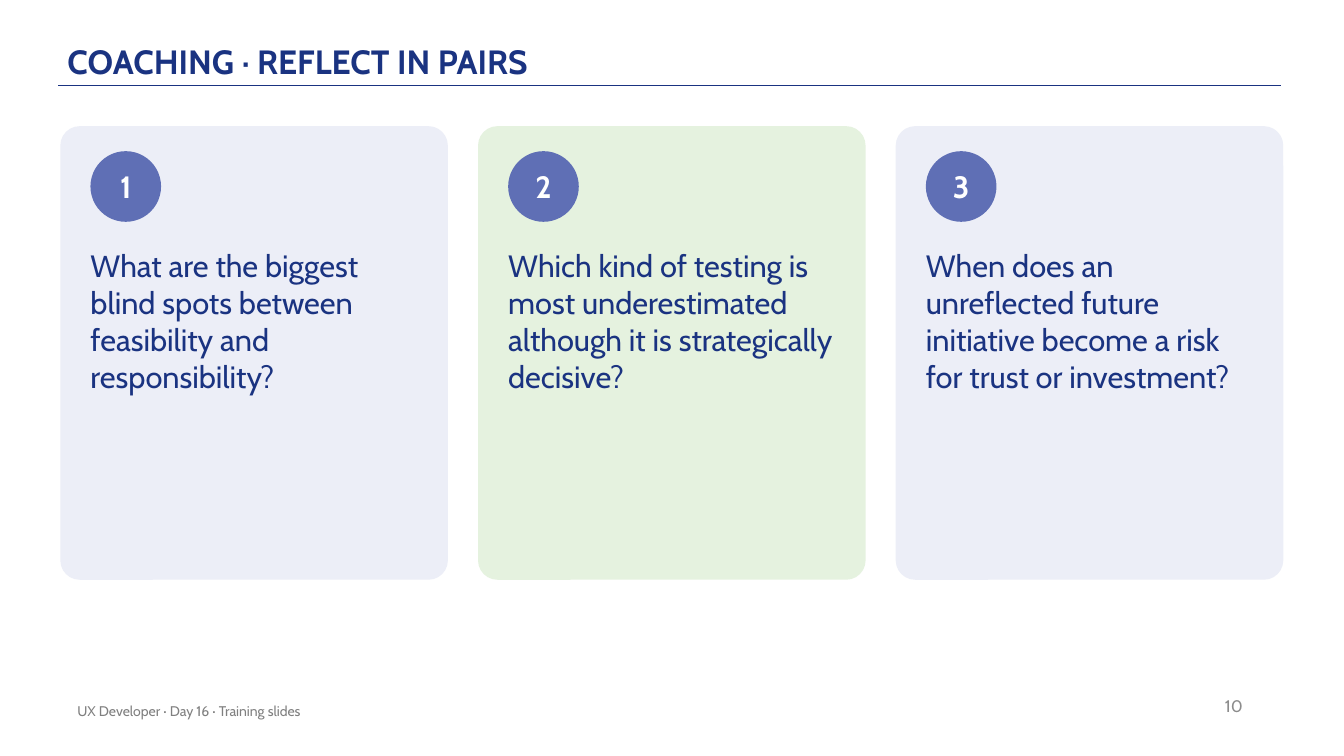
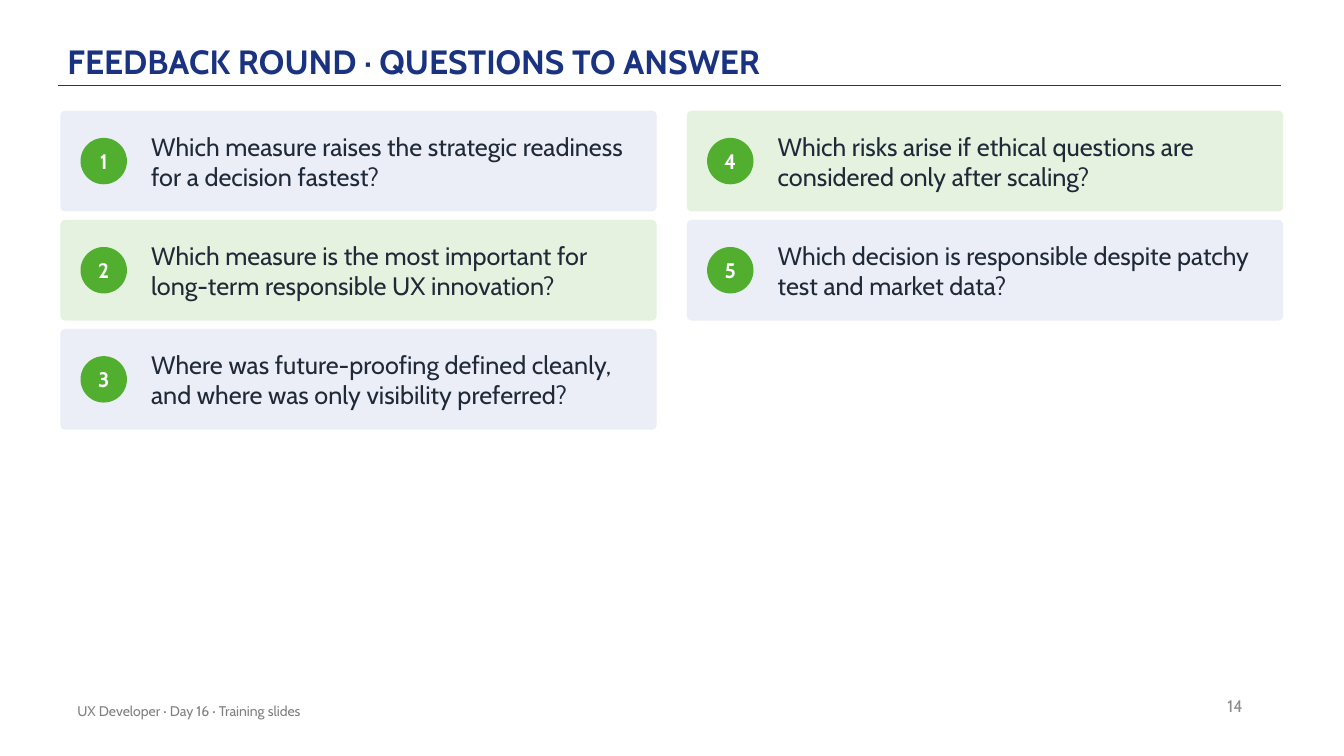
from lxml import etree
from pptx import Presentation
from pptx import util as u
from pptx.dml.color import RGBColor
from pptx.enum import shapes, text
from pptx.oxml.ns import qn

Cm, Pt = u.Cm, u.Pt
FONT = "Cabin"
NAVY = RGBColor(0x1A, 0x33, 0x81)
INK = RGBColor(0x1F, 0x29, 0x37)
INDIGO = RGBColor(0x5F, 0x6F, 0xB5)
GREEN = RGBColor(0x51, 0xAE, 0x2F)
WHITE = RGBColor(0xFF, 0xFF, 0xFF)
FOOTER_GREY = RGBColor(0x80, 0x80, 0x80)
NUMBER_GREY = RGBColor(0x8C, 0x8C, 0x8C)
CARD_TINTS = (RGBColor(0xEC, 0xEE, 0xF7), RGBColor(0xE5, 0xF2, 0xDF))

# Content area and gutter, in centimetres
LEFT, WIDTH, GUTTER = 1.52, 30.82, 0.76
TOP, MIDDLE, BOTTOM = (text.MSO_ANCHOR.TOP, text.MSO_ANCHOR.MIDDLE,
                       text.MSO_ANCHOR.BOTTOM)
ALIGN = text.PP_ALIGN


def columns(count):
    """Return the left edges and the common width of equal columns."""
    width = (WIDTH - (count - 1) * GUTTER) / count
    return [LEFT + i * (width + GUTTER) for i in range(count)], width


class Deck:
    """Shared slide style and the slide being filled; lengths are in cm."""

    def __init__(self):
        self.prs = Presentation()
        self.prs.slide_width, self.prs.slide_height = Cm(33.87), Cm(19.05)
        self.slide = None

    def new_slide(self, title, number):
        self.slide = self.prs.slides.add_slide(self.prs.slide_layouts[6])
        self.rule(1.47, 32.28, 2.16)
        heading = self.label(title, (1.7, 0.3, 27.94, 1.83), 24, NAVY,
                             bold=True, anchor=BOTTOM, insets=(0, 0.08))
        heading.line_spacing = 0.9
        self.label(number, (23.95, 17.27, 7.62, 1.02), 12, NUMBER_GREY,
                   align=ALIGN.RIGHT, insets=(0.25, 0.13))
        self.label("UX Developer · Day 16 · Training slides",
                   (1.7, 17.4, 17.02, 1.02), 10, FOOTER_GREY,
                   insets=(0.25, 0.13))

    def rule(self, start, end, y):
        line = self.slide.shapes.add_connector(
            shapes.MSO_CONNECTOR.STRAIGHT, Cm(start), Cm(y), Cm(end), Cm(y))
        line.line.color.rgb = NAVY
        line.line.width = Pt(1)
        etree.SubElement(line._element.spPr, qn("a:effectLst"))

    def set_words(self, shape, words, size, color, bold=False,
                  align=ALIGN.LEFT, anchor=MIDDLE, insets=(0, 0)):
        frame = shape.text_frame
        frame.text = words
        frame.word_wrap = True
        frame.vertical_anchor = anchor
        frame.margin_left = frame.margin_right = Cm(insets[0])
        frame.margin_top = frame.margin_bottom = Cm(insets[1])
        paragraph = frame.paragraphs[0]
        paragraph.alignment = align
        font = paragraph.runs[0].font
        font.name, font.size, font.bold = FONT, Pt(size), bold
        font.color.rgb = color
        return paragraph

    def label(self, words, box, size, color, **style):
        holder = self.slide.shapes.add_textbox(*map(Cm, box))
        return self.set_words(holder, words, size, color, **style)

    def filled(self, kind, box, fill):
        shape = self.slide.shapes.add_shape(kind, *map(Cm, box))
        shape.shadow.inherit = False
        shape.fill.solid()
        shape.fill.fore_color.rgb = fill
        shape.line.fill.background()
        return shape

    def card(self, box, index):
        panel = self.filled(shapes.MSO_SHAPE.ROUNDED_RECTANGLE, box,
                            CARD_TINTS[index % 2])
        panel.adjustments[0] = 0.05

    def badge(self, number, x, y, diameter, fill, size):
        disc = self.filled(shapes.MSO_SHAPE.OVAL, (x, y, diameter, diameter),
                           fill)
        self.set_words(disc, str(number), size, WHITE, bold=True,
                       align=ALIGN.CENTER)


def coaching_slide(deck):
    deck.new_slide("COACHING · REFLECT IN PAIRS", "10")
    questions = (
        "What are the biggest blind spots between feasibility and "
        "responsibility?",
        "Which kind of testing is most underestimated although it is "
        "strategically decisive?",
        "When does an unreflected future initiative become a risk for trust "
        "or investment?",
    )
    lefts, width = columns(len(questions))
    padding = 0.76
    for index, (x, question) in enumerate(zip(lefts, questions)):
        deck.card((x, 3.18, width, 11.43), index)
        deck.badge(index + 1, x + padding, 3.81, 1.78, INDIGO, 22)
        deck.label(question, (x + padding, 6.22, width - 2 * padding, 7.87),
                   22, NAVY, anchor=TOP)


def feedback_slide(deck):
    deck.new_slide("FEEDBACK ROUND · QUESTIONS TO ANSWER", "14")
    questions = (
        "Which measure raises the strategic readiness for a decision fastest?",
        "Which measure is the most important for long-term responsible UX "
        "innovation?",
        "Where was future-proofing defined cleanly, and where was only "
        "visibility preferred?",
        "Which risks arise if ethical questions are considered only after "
        "scaling?",
        "Which decision is responsible despite patchy test and market data?",
    )
    lefts, width = columns(2)
    rows, top, height, pitch = 3, 2.79, 2.54, 2.75
    padding, indent, diameter = 0.51, 2.29, 1.17
    for index, question in enumerate(questions):
        column, row = divmod(index, rows)
        x, y = lefts[column], top + row * pitch
        deck.card((x, y, width, height), index)
        deck.badge(index + 1, x + padding, y + (height - diameter) / 2,
                   diameter, GREEN, 15)
        deck.label(question, (x + indent, y, width - indent - padding, height),
                   18, INK)


def main():
    deck = Deck()
    coaching_slide(deck)
    feedback_slide(deck)
    deck.prs.save("out.pptx")


if __name__ == "__main__":
    main()
